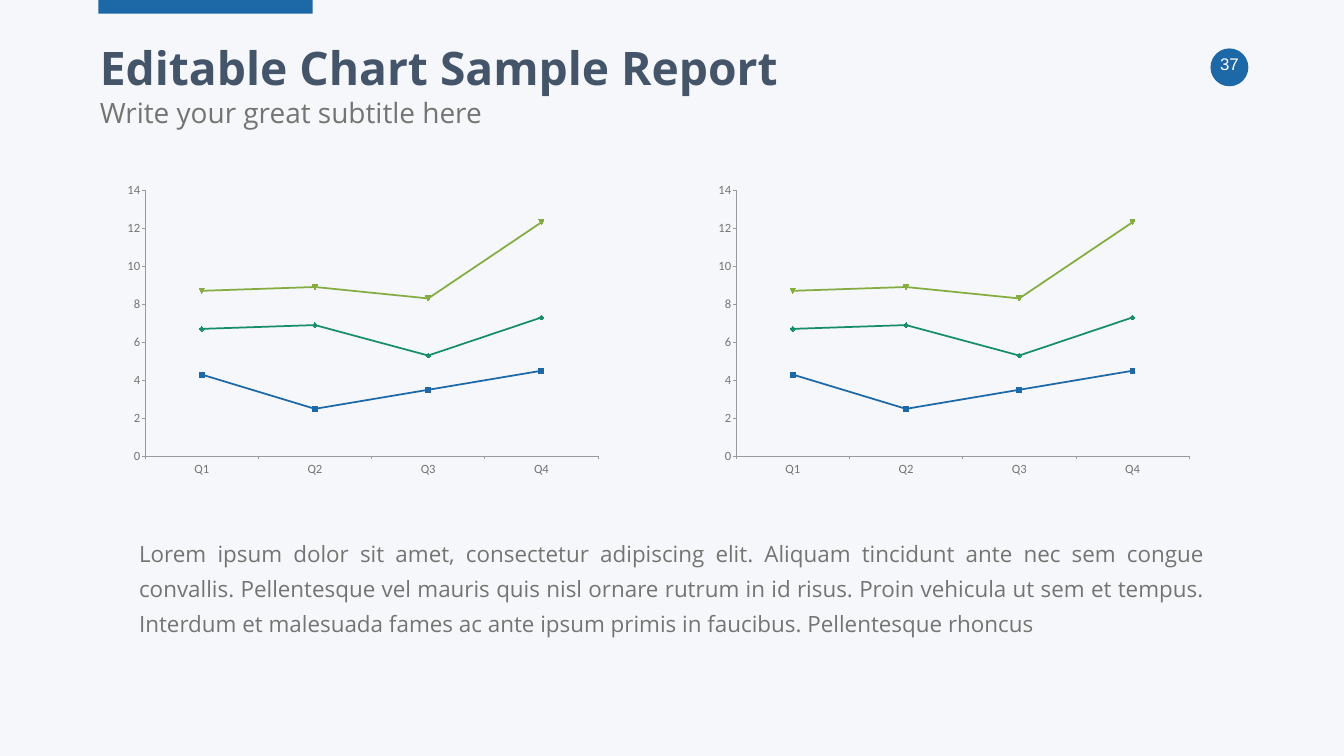
import lxml.etree
import pptx
import pptx.chart.data
import pptx.dml.color
import pptx.enum.chart
import pptx.enum.shapes
import pptx.enum.text
import pptx.oxml
import pptx.oxml.ns
import pptx.util

Cm = pptx.util.Cm
Pt = pptx.util.Pt
RGBColor = pptx.dml.color.RGBColor
PP_ALIGN = pptx.enum.text.PP_ALIGN

BACKGROUND = RGBColor(0xF6, 0xF7, 0xFA)
BLUE = RGBColor(0x1D, 0x68, 0xA6)
TEAL = RGBColor(0x17, 0x8E, 0x6B)
GREEN = RGBColor(0x84, 0xAC, 0x40)
NAVY = RGBColor(0x44, 0x54, 0x69)
GRAY = RGBColor(0x73, 0x75, 0x72)
AXIS_GRAY = RGBColor(0x9A, 0x9A, 0x9A)
WHITE = RGBColor(0xFF, 0xFF, 0xFF)

QUARTERS = ["Q1", "Q2", "Q3", "Q4"]
SERIES = [
    ("Series 1", [4.3, 2.5, 3.5, 4.5], BLUE),
    ("Series 2", [2.4, 4.4, 1.8, 2.8], TEAL),
    ("Series 3", [2, 2, 3, 5], GREEN),
]
PLOT_LAYOUT = {"x": 0.044, "y": 0.04, "w": 0.943, "h": 0.892}
BODY = (
    "Lorem ipsum dolor sit amet, consectetur adipiscing elit. Aliquam tincidunt ante nec sem "
    "congue convallis. Pellentesque vel mauris quis nisl ornare rutrum in id risus. Proin "
    "vehicula ut sem et tempus. Interdum et malesuada fames ac ante ipsum primis in faucibus. "
    "Pellentesque rhoncus"
)


def add_plain_shape(slide, kind, left, top, width, height):
    """Add a blue shape without outline or shadow."""
    shape = slide.shapes.add_shape(kind, left, top, width, height)
    shape.shadow.inherit = False
    shape.fill.solid()
    shape.fill.fore_color.rgb = BLUE
    shape.line.fill.background()


def add_text(slide, box, text, size, color, font="Open Sans", bold=False, align=PP_ALIGN.LEFT):
    """Add a one-paragraph text box and return its shape."""
    shape = slide.shapes.add_textbox(*box)
    shape.text_frame.word_wrap = True
    paragraph = shape.text_frame.paragraphs[0]
    paragraph.text = text
    paragraph.alignment = align
    paragraph.font.name = font
    paragraph.font.size = Pt(size)
    paragraph.font.bold = bold
    paragraph.font.color.rgb = color
    return shape


def add_header(slide, left, top, width):
    """Place the accent bar, title and subtitle."""
    add_plain_shape(slide, pptx.enum.shapes.MSO_SHAPE.RECTANGLE,
                    left + Cm(0.18), top, Cm(10.8), Cm(0.69))
    add_text(slide, (left, top + Cm(1.88), width, Cm(3.15)),
             "Editable Chart Sample Report", 66, NAVY, bold=True)
    add_text(slide, (left, top + Cm(4.67), width, Cm(2.36)),
             "Write your great subtitle here", 40, GRAY)


def add_page_number(slide, left, top, diameter):
    """Place the page number on its round badge."""
    add_plain_shape(slide, pptx.enum.shapes.MSO_SHAPE.OVAL, left, top, diameter, diameter)
    add_text(slide, (left - Cm(0.53), top + Cm(0.15), Cm(2.97), Cm(2.03)),
             "37", 24, WHITE, font="Arial", align=PP_ALIGN.CENTER)


def set_plot_layout(chart):
    """Fix the inner plot area as fractions of the chart."""
    plot_area = chart.element.chart.plotArea
    for layout in plot_area.findall(pptx.oxml.ns.qn("c:layout")):
        plot_area.remove(layout)
    layout = lxml.etree.Element(pptx.oxml.ns.qn("c:layout"))
    manual = lxml.etree.SubElement(layout, pptx.oxml.ns.qn("c:manualLayout"))
    settings = {"layoutTarget": "inner", "xMode": "edge", "yMode": "edge", **PLOT_LAYOUT}
    for name, value in settings.items():
        lxml.etree.SubElement(manual, pptx.oxml.ns.qn(f"c:{name}"), val=str(value))
    plot_area.insert(0, layout)


def add_line_chart(slide, left, top, width, height):
    """Place a stacked line chart of the quarterly series."""
    data = pptx.chart.data.CategoryChartData()
    data.categories = QUARTERS
    for name, values, _ in SERIES:
        data.add_series(name, values)
    chart = slide.shapes.add_chart(pptx.enum.chart.XL_CHART_TYPE.LINE_MARKERS_STACKED,
                                   left, top, width, height, data).chart
    chart.has_legend = False
    chart.has_title = False
    chart.font.name = "Calibri"
    chart.font.size = Pt(18)
    chart.font.color.rgb = GRAY
    chart.plots[0].vary_by_categories = False
    for series, (_, _, color) in zip(chart.plots[0].series, SERIES):
        series.smooth = False
        series.format.line.color.rgb = color
        series.format.line.width = Pt(2.5)
        series.marker.size = 7
        series.marker.format.fill.solid()
        series.marker.format.fill.fore_color.rgb = color
        series.marker.format.line.color.rgb = color
    for axis in (chart.category_axis, chart.value_axis):
        axis.has_major_gridlines = False
        axis.major_tick_mark = pptx.enum.chart.XL_TICK_MARK.OUTSIDE
        axis.minor_tick_mark = pptx.enum.chart.XL_TICK_MARK.NONE
        axis.format.line.color.rgb = AXIS_GRAY
        axis.format.line.width = Pt(1)
    chart.value_axis.minimum_scale = 0
    chart.value_axis.maximum_scale = 14
    chart.value_axis.major_unit = 2
    set_plot_layout(chart)


def add_body(slide, left, top, width, height):
    """Place the justified paragraph below the charts."""
    frame = add_text(slide, (left, top, width, height), BODY, 32, GRAY,
                     align=PP_ALIGN.JUSTIFY).text_frame
    frame.vertical_anchor = pptx.enum.text.MSO_ANCHOR.MIDDLE
    frame.margin_left = frame.margin_right = Cm(0.76)
    frame.margin_top = frame.margin_bottom = Cm(0.38)
    frame.paragraphs[0].line_spacing = 1.3


def main():
    """Build and save the chart report slide."""
    presentation = pptx.Presentation()
    presentation.slide_width = Cm(67.74)
    presentation.slide_height = Cm(38.1)
    slide = presentation.slides.add_slide(presentation.slide_layouts[6])
    slide.background.fill.solid()
    slide.background.fill.fore_color.rgb = BACKGROUND
    add_page_number(slide, Cm(61.01), Cm(2.44), Cm(1.91))
    add_header(slide, Cm(4.78), Cm(0), Cm(58.17))
    for left in (Cm(6.25), Cm(36.04)):
        add_line_chart(slide, left, Cm(8.97), Cm(24.21), Cm(15.06))
    add_body(slide, Cm(6.25), Cm(26.42), Cm(55.25), Cm(6.05))
    presentation.save("out.pptx")


if __name__ == "__main__":
    main()
